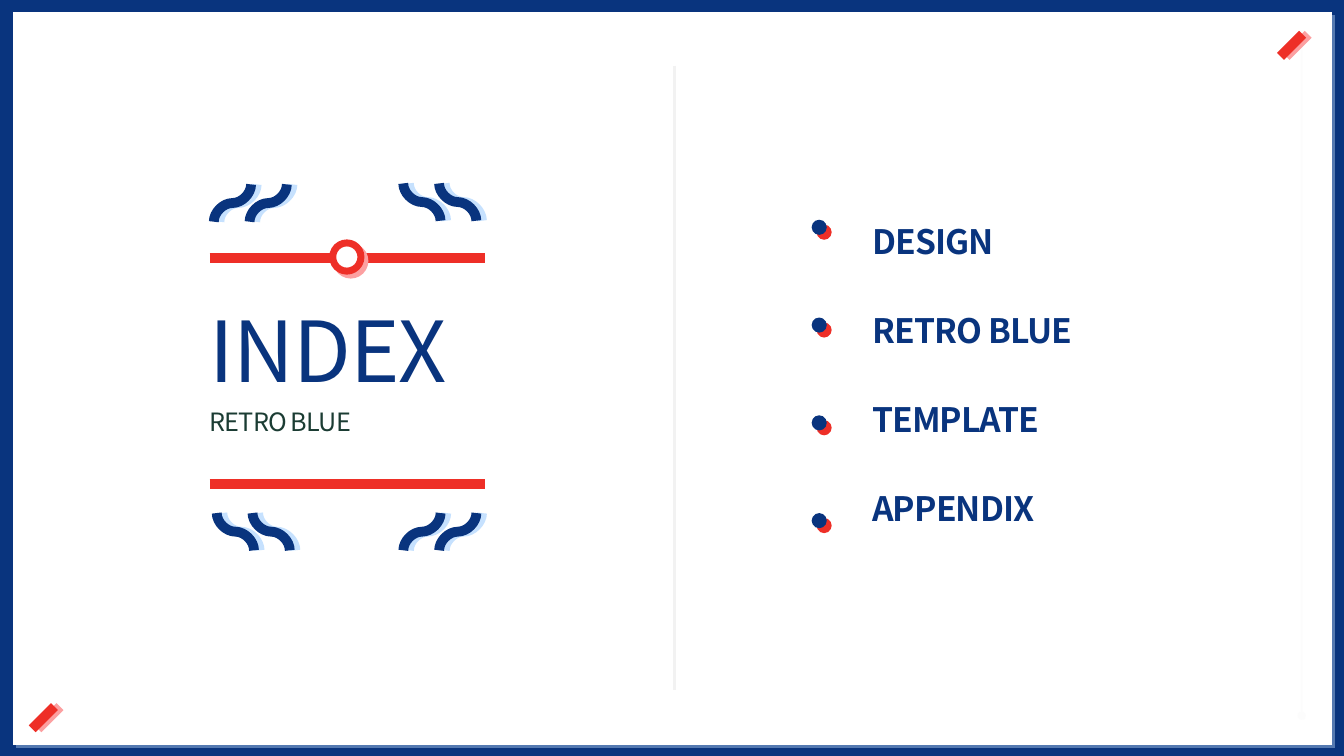
import pptx
import pptx.util
import pptx.dml.color
import pptx.enum.shapes
import pptx.enum.text
import pptx.oxml
import pptx.oxml.ns

WIDE, HIGH = 13.33, 7.5
FONT = "Noto Sans CJK KR"
NAVY, RED, WHITE, GREY, INK = "09347E", "EE2F27", "FFFFFF", "F2F2F2", "1B3C33"
SKY, PINK = "C6E1FE", "FCA0A1"

ITEMS = ["DESIGN", "RETRO BLUE", "TEMPLATE", "APPENDIX"]
TITLE, SUB = "INDEX", "RETRO BLUE"

LEFT, SPAN = 2.08, 2.73           # left column
BARS = [2.56, 4.8]                # red rules
WAVE, STEP = 0.37, 0.355          # wave size, gap between a pair
WAVES = [(4.0, 5.09, False), (2.12, 1.83, False),
         (4.0, 1.82, True), (2.15, 5.09, True)]
DOT, DOT_TOP, PITCH = 0.15, 2.18, 0.97
TICKS = [(12.92, 0.34), (0.54, 7.01)]

inch, pt = pptx.util.Inches, pptx.util.Pt
KIND = pptx.enum.shapes.MSO_CONNECTOR
FORM = pptx.enum.shapes.MSO_SHAPE
ALIGN = pptx.enum.text.PP_ALIGN


def tint(part, hue):
    """Give a fill, or a font's or line's colour, a hex colour."""
    if hasattr(part, "solid"):
        part.solid()
        part = part.fore_color
    part.rgb = pptx.dml.color.RGBColor.from_string(hue)


def effect(item, cast=None):
    """Set the effect list: empty, or a hard shadow (hue, alpha, far, angle)."""
    kids = ""
    if cast:
        hue, alpha, far, turn = cast
        kids = (f'<a:outerShdw dist="{far * 12700}" dir="{turn * 60000}" algn="ctr" '
                f'rotWithShape="0"><a:srgbClr val="{hue}">'
                f'<a:alpha val="{alpha * 1000}"/></a:srgbClr></a:outerShdw>')
    node = pptx.oxml.parse_xml(
        f'<a:effectLst {pptx.oxml.ns.nsdecls("a")}>{kids}</a:effectLst>')
    item._element.spPr.append(node)


def rule(x1, y1, x2, y2, hue, wide, cast=None, kind=KIND.STRAIGHT):
    """Draw a line or curve."""
    line = slide.shapes.add_connector(kind, *map(inch, (x1, y1, x2, y2)))
    tint(line.line.fill, hue)
    line.line.width = pt(wide)
    effect(line, cast)
    return line


def wave(x, y, flip):
    """Draw a curve that leaves and arrives upright."""
    ends = (x + WAVE, x) if flip else (x, x + WAVE)
    curve = rule(ends[0], y, ends[1], y + WAVE, NAVY, 7,
                 (SKY, 100, 4, 0), KIND.CURVE)
    turn = 270 if flip else 90
    curve._element.spPr.find(pptx.oxml.ns.qn("a:xfrm")).set("rot", str(turn * 60000))


def shape(form, x, y, w, h, hue, cast, edge=None):
    """Draw a filled shape with a hard shadow."""
    item = slide.shapes.add_shape(form, *map(inch, (x, y, w, h)))
    tint(item.fill, hue)
    if edge:
        tint(item.line.fill, edge)
        item.line.width = pt(5)
    else:
        item.line.fill.background()
    effect(item, cast)


def text(x, y, w, h, rows, size, hue, bold=False, align=ALIGN.LEFT,
         lead=1.2, gap=0):
    """Write rows of text in one box, centred in height."""
    frame = slide.shapes.add_textbox(*map(inch, (x, y, w, h))).text_frame
    frame.word_wrap = True
    frame.vertical_anchor = pptx.enum.text.MSO_ANCHOR.MIDDLE
    frame.margin_left = frame.margin_right = 0
    frame.margin_top = frame.margin_bottom = 0
    for i, row in enumerate(rows):
        para = frame.add_paragraph() if i else frame.paragraphs[0]
        para.alignment, para.line_spacing = align, lead
        para.space_before = pt(gap if i else 0)
        run = para.add_run()
        run.text = row
        run.font.name, run.font.size, run.font.bold = FONT, pt(size), bold
        tint(run.font.color, hue)
        props = run.font._element
        props.set("spc", "-60")
        east = pptx.oxml.parse_xml(
            f'<a:ea {pptx.oxml.ns.nsdecls("a")} typeface="{FONT}"/>')
        props.append(east)


deck = pptx.Presentation()
deck.slide_width, deck.slide_height = inch(WIDE), inch(HIGH)
slide = deck.slides.add_slide(deck.slide_layouts[6])
tint(slide.background.fill, NAVY)

# Frame and dividers
shape(FORM.RECTANGLE, 0.13, 0.12, 13.08, 7.27, WHITE, (SKY, 40, 3, 45))
edge = rule(12.91, 0.34, 12.91, 7.1, GREY, 1)
tail = edge.line._get_or_add_ln()
for end in ("head", "tail"):
    tail.append(pptx.oxml.parse_xml(
        f'<a:{end}End {pptx.oxml.ns.nsdecls("a")} type="oval"/>'))
for clear in tail.iter(pptx.oxml.ns.qn("a:srgbClr")):
    clear.append(pptx.oxml.parse_xml(
        f'<a:alpha {pptx.oxml.ns.nsdecls("a")} val="22000"/>'))
rule(6.69, 0.65, 6.69, 6.85, GREY, 2.5)

# Title column
for y in BARS:
    rule(LEFT, y, LEFT + SPAN, y, RED, 7)
shape(FORM.OVAL, 3.3, 2.41, 0.28, 0.28, WHITE, (PINK, 100, 4, 45), RED)
for x, y, flip in WAVES:
    for k in range(2):
        wave(x + k * STEP, y, flip)
text(LEFT, 3.05, SPAN, 0.62, [TITLE], 60, NAVY, align=ALIGN.JUSTIFY)
text(LEFT, 3.98, SPAN, 0.34, [SUB], 18, INK, align=ALIGN.JUSTIFY)

# Index list
text(8.65, 1.83, 2.62, 3.77, ITEMS, 24, NAVY, True, lead=1.0, gap=34.6)
for k in range(len(ITEMS)):
    shape(FORM.OVAL, 8.05, DOT_TOP + k * PITCH, DOT, DOT, NAVY, (RED, 100, 5, 45))

# Corner ticks
for x, y in TICKS:
    rule(x, y, x - 0.22, y + 0.22, RED, 7, (PINK, 100, 4, 0))

deck.save("out.pptx")
